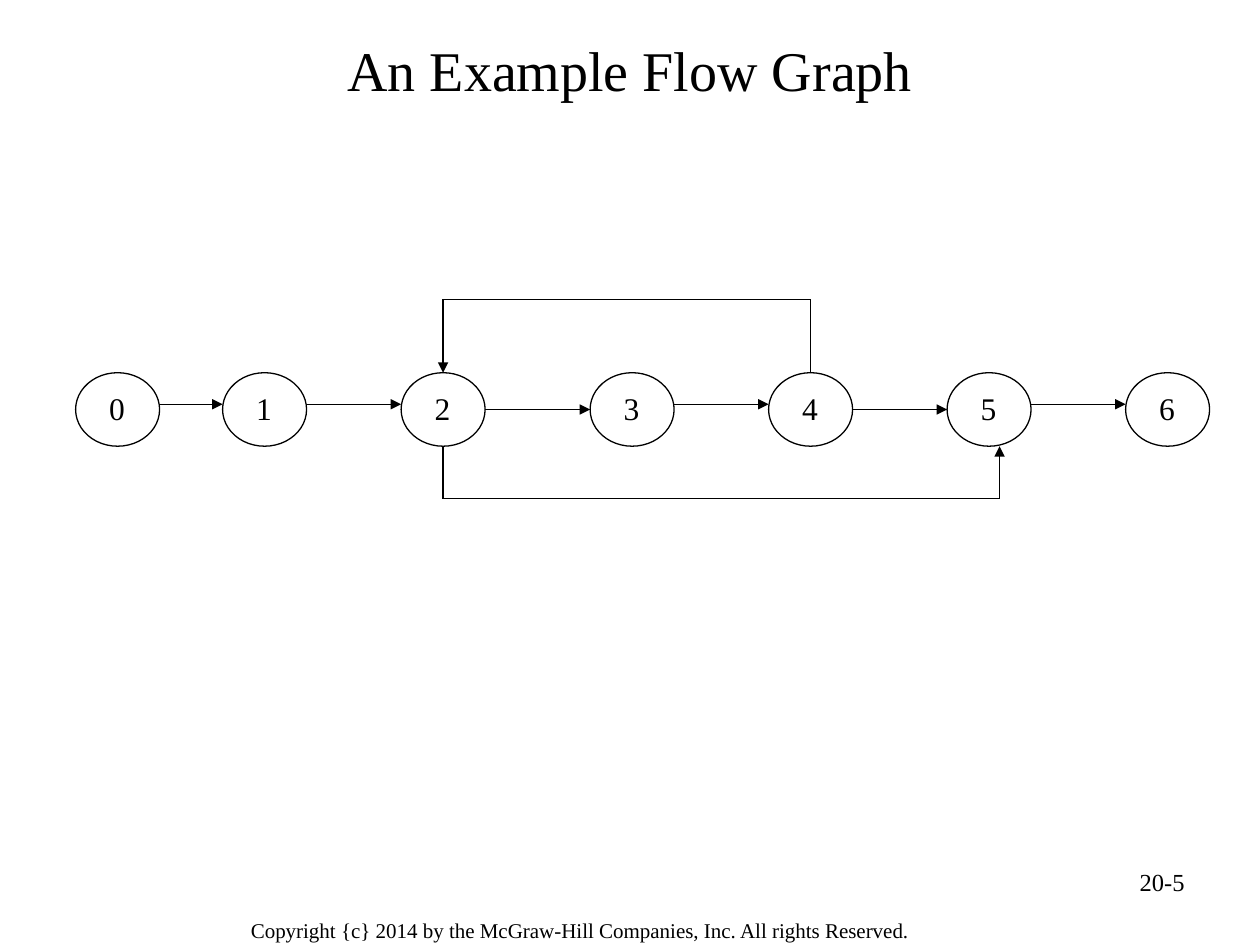
from itertools import pairwise

from lxml.etree import SubElement
from pptx import Presentation
from pptx.dml.color import RGBColor
from pptx.enum.shapes import MSO_CONNECTOR as Connector, MSO_SHAPE as Shape
from pptx.enum.text import MSO_ANCHOR as Anchor, PP_ALIGN as Align
from pptx.oxml.ns import qn
from pptx.util import Pt

BLACK = RGBColor(0, 0, 0)
FONT = "Times New Roman"

TITLE = "An Example Flow Graph"
PAGE = "20-5"
COPYRIGHT = "Copyright {c} 2014 by the McGraw-Hill Companies, Inc. All rights Reserved."

NODE_LEFTS = {"0": 43.2, "1": 127.2, "2": 229.2, "3": 337.2,
              "4": 439.2, "5": 541.2, "6": 643.2}
NODE_TOP, NODE_WIDTH, NODE_HEIGHT = 213, 48, 42
NODE_BOTTOM = NODE_TOP + NODE_HEIGHT
NODE_MIDDLE = NODE_TOP + NODE_HEIGHT / 2
LABEL_WIDTH, LABEL_HEIGHT = 23, 29
EDGES = [("0", "1", 231, 0.75), ("1", "2", 231, 0.75), ("2", "3", 234, 0.75),
         ("3", "4", 231, 0.75), ("4", "5", 234, 1), ("5", "6", 231, 0.75)]
LOOP_Y, SKIP_Y = 171, 285
SKIP_END_SHIFT = 6


def add_text(slide, text, box, size, align=Align.LEFT, anchor=Anchor.TOP,
             wrap=True, margins=(7.2, 3.6)):
    label = slide.shapes.add_textbox(*map(Pt, box))
    frame = label.text_frame
    side, edge = map(Pt, margins)
    layout = {"word_wrap": wrap, "vertical_anchor": anchor,
              "margin_left": side, "margin_right": side,
              "margin_top": edge, "margin_bottom": edge}
    for name, value in layout.items():
        setattr(frame, name, value)
    paragraph = frame.paragraphs[0]
    paragraph.alignment = align
    run = paragraph.add_run()
    run.text = text
    for name, value in {"name": FONT, "size": Pt(size)}.items():
        setattr(run.font, name, value)
    run.font.color.rgb = BLACK


def add_line(slide, start, end, width=0.75, arrow=False):
    line = slide.shapes.add_connector(Connector.STRAIGHT, *map(Pt, (*start, *end)))
    line.line.color.rgb = BLACK
    line.line.width = Pt(width)
    properties = line._element.spPr
    if arrow:
        SubElement(properties.find(qn("a:ln")), qn("a:tailEnd"), type="triangle")
    SubElement(properties, qn("a:effectLst"))


def add_route(slide, points):
    segments = list(pairwise(points))
    for index, (start, end) in enumerate(segments, 1):
        add_line(slide, start, end, arrow=index == len(segments))


def add_node(slide, name, left):
    node = slide.shapes.add_shape(
        Shape.OVAL, *map(Pt, (left, NODE_TOP, NODE_WIDTH, NODE_HEIGHT)))
    node.shadow.inherit = False
    node.fill.background()
    node.line.color.rgb = BLACK
    node.line.width = Pt(0.75)
    label_left = left + (NODE_WIDTH - LABEL_WIDTH) / 2 - 0.4
    label_top = NODE_MIDDLE - LABEL_HEIGHT / 2 - 0.6
    add_text(slide, name, (label_left, label_top, LABEL_WIDTH, LABEL_HEIGHT),
             18, wrap=False)


def main():
    deck = Presentation()
    deck.slide_width, deck.slide_height = Pt(720), Pt(540)
    slide = deck.slides.add_slide(deck.slide_layouts[6])

    add_text(slide, COPYRIGHT, (135.4, 519.8, 445.7, 22.3), 12, margins=(7.9, 4.3))
    add_text(slide, PAGE, (516, 492, 168, 37.4), 14, align=Align.RIGHT)
    add_text(slide, TITLE, (36, 13, 648, 52.6), 32,
             align=Align.CENTER, anchor=Anchor.MIDDLE)

    for name, left in NODE_LEFTS.items():
        add_node(slide, name, left)
    for source, target, y, width in EDGES:
        add_line(slide, (NODE_LEFTS[source] + NODE_WIDTH, y),
                 (NODE_LEFTS[target], y), width, arrow=True)

    centers = {name: left + NODE_WIDTH / 2 for name, left in NODE_LEFTS.items()}
    skip_end = centers["5"] + SKIP_END_SHIFT
    add_route(slide, [(centers["2"], NODE_BOTTOM), (centers["2"], SKIP_Y),
                      (skip_end, SKIP_Y), (skip_end, NODE_BOTTOM)])
    add_route(slide, [(centers["4"], NODE_TOP), (centers["4"], LOOP_Y),
                      (centers["2"], LOOP_Y), (centers["2"], NODE_TOP)])

    deck.save("out.pptx")


if __name__ == "__main__":
    main()
